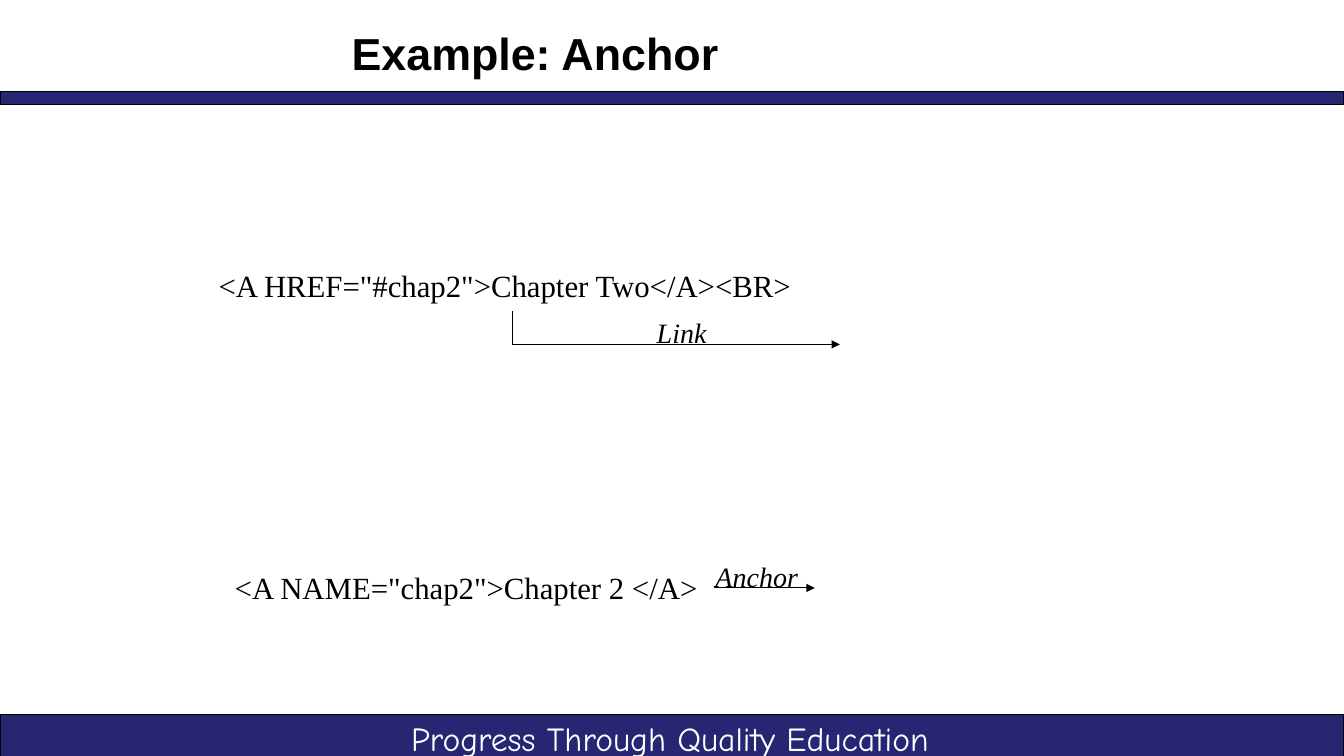
from lxml import etree
from pptx import Presentation
from pptx.dml.color import RGBColor
from pptx.enum.shapes import MSO_CONNECTOR, MSO_SHAPE
from pptx.enum.text import MSO_ANCHOR, MSO_AUTO_SIZE, PP_ALIGN
from pptx.oxml.ns import qn
from pptx.util import Pt

RECT = MSO_SHAPE.RECTANGLE
STRAIGHT = MSO_CONNECTOR.STRAIGHT
TOP = MSO_ANCHOR.TOP
LEFT, CENTER = PP_ALIGN.LEFT, PP_ALIGN.CENTER
NO_FIT, GROW = MSO_AUTO_SIZE.NONE, MSO_AUTO_SIZE.SHAPE_TO_FIT_TEXT
WIDTH, HEIGHT = 960, 540


def color(value):
    return RGBColor.from_string(value)


class Deck:
    navy, black, white = "262673", "000000", "FFFFFF"
    serif, sans, script = "Times New Roman", "Arial", "Comic Neue"
    line_width = 0.75

    def __init__(self, prs):
        self.s = prs.slides.add_slide(prs.slide_layouts[6])

    def bar(self, y, h):
        sp = self.s.shapes.add_shape(RECT, 0, Pt(y), Pt(WIDTH), Pt(h))
        sp.shadow.inherit = False
        sp.fill.solid()
        sp.fill.fore_color.rgb = color(self.navy)
        sp.line.color.rgb = color(self.black)
        sp.line.width = Pt(self.line_width)

    def text(self, text, x, y, w, h, size, font=serif, fill=black, bold=False,
             italic=False, align=LEFT, wrap=False, fit=GROW, inset=(7.2, 3.6)):
        sp = self.s.shapes.add_textbox(Pt(x), Pt(y), Pt(w), Pt(h))
        tf = sp.text_frame
        tf.text = text
        tf.word_wrap = wrap
        tf.auto_size = fit
        tf.vertical_anchor = TOP
        tf.margin_left = tf.margin_right = Pt(inset[0])
        tf.margin_top = tf.margin_bottom = Pt(inset[1])
        p = tf.paragraphs[0]
        p.alignment = align
        r = p.runs[0]
        r.font.name = font
        r.font.size = Pt(size)
        r.font.bold = bold
        r.font.italic = italic
        r.font.color.rgb = color(fill)

    def line(self, x1, y1, x2, y2, arrow=False):
        c = self.s.shapes.add_connector(STRAIGHT, Pt(x1), Pt(y1), Pt(x2), Pt(y2))
        c.line.color.rgb = color(self.black)
        c.line.width = Pt(self.line_width)
        if arrow:
            etree.SubElement(c.line._get_or_add_ln(), qn("a:tailEnd"), type="triangle")
        etree.SubElement(c._element.spPr, qn("a:effectLst"))


def main():
    prs = Presentation()
    prs.slide_width, prs.slide_height = Pt(WIDTH), Pt(HEIGHT)
    d = Deck(prs)

    # Footer and title bars
    d.bar(510.2, 33.2)
    d.bar(65.2, 9.2)
    d.text("Progress Through Quality Education", 250.6, 509.2, 455.8, 38.2, 24,
           font=d.script, fill=d.white, align=CENTER, wrap=True, fit=NO_FIT)

    # Title
    d.text("Example: Anchor", 18, 14.4, 728.6, 42.5, 32, font=d.sans, bold=True,
           align=CENTER, wrap=True, fit=NO_FIT, inset=(7.9, 4))

    # Link and its bent arrow
    d.text('<A HREF="#chap2">Chapter Two</A><BR>', 149, 186.8, 430, 33.8, 22)
    d.line(366, 246, 600, 246, arrow=True)
    d.line(366, 246, 366, 222)

    # Anchor and its arrow
    d.text('<A NAME="chap2">Chapter 2 </A>', 160.6, 402.5, 349, 33.8, 22)
    d.line(510, 420, 582, 420, arrow=True)

    # Arrow labels
    d.text("Link", 462, 222, 54, 31, 20, italic=True, wrap=True)
    d.text("Anchor", 504, 396, 75, 31, 20, italic=True, wrap=True)

    prs.save("out.pptx")


if __name__ == "__main__":
    main()
